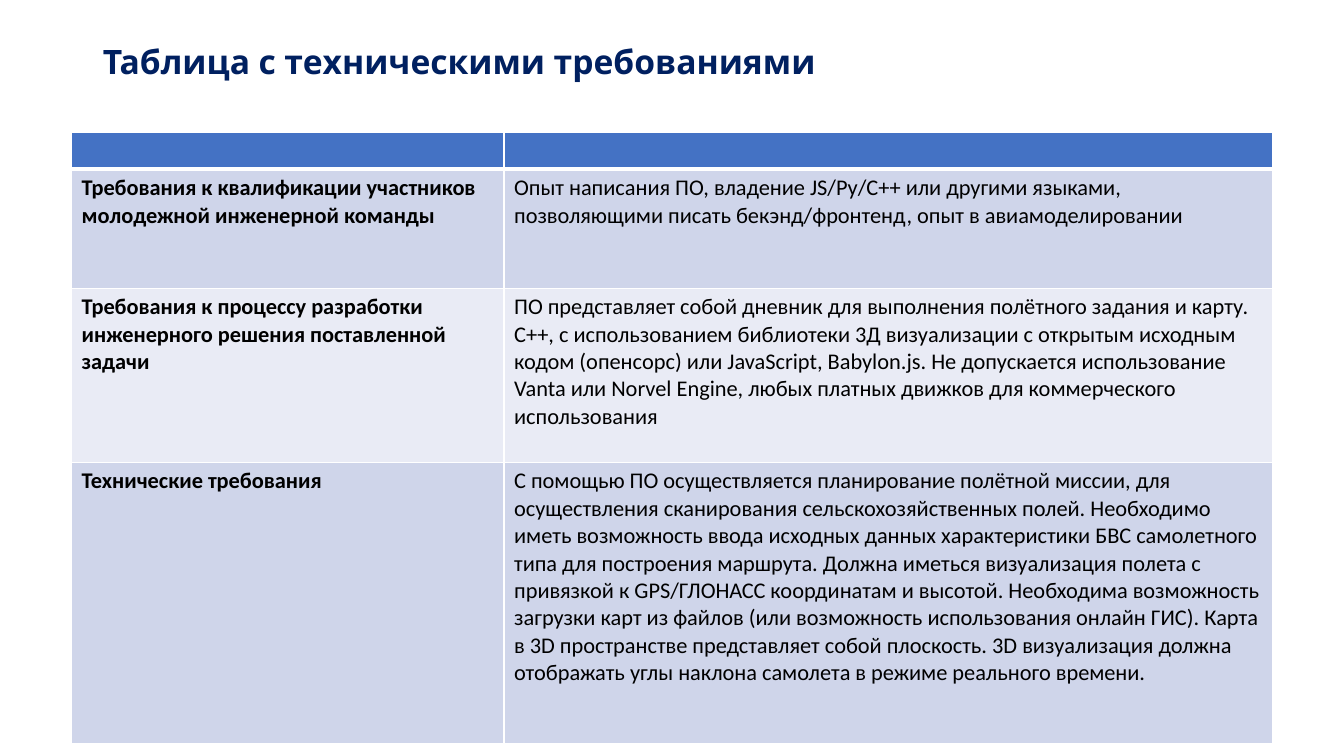
from lxml import etree
from pptx import Presentation
from pptx.dml.color import RGBColor
from pptx.enum import text
from pptx.oxml import ns
from pptx.util import Inches, Pt

TITLE = "Таблица с техническими требованиями"
REQUIREMENTS = [
    ("", ""),
    ("Требования к квалификации участников молодежной инженерной команды",
     "Опыт написания ПО, владение JS/Py/C++ или другими языками, "
     "позволяющими писать бекэнд/фронтенд, опыт в авиамоделировании"),
    ("Требования к процессу разработки инженерного решения поставленной задачи",
     "ПО представляет собой дневник для выполнения полётного задания и карту. "
     "C++, с использованием библиотеки 3Д визуализации с открытым исходным "
     "кодом (опенсорс) или JavaScript, Babylon.js. Не допускается использование "
     "Vanta или Norvel Engine, любых платных движков для коммерческого использования"),
    ("Технические требования",
     "С помощью ПО осуществляется планирование полётной миссии, для "
     "осуществления сканирования сельскохозяйственных полей. Необходимо "
     "иметь возможность ввода исходных данных характеристики БВС самолетного "
     "типа для построения маршрута. Должна иметься визуализация полета с "
     "привязкой к GPS/ГЛОНАСС координатам и высотой. Необходима возможность "
     "загрузки карт из файлов (или возможность использования онлайн ГИС). Карта "
     "в 3D пространстве представляет собой плоскость. 3D визуализация должна "
     "отображать углы наклона самолета в режиме реального времени."),
]
COLUMN_WIDTHS = [4.29, 7.62]
ROW_HEIGHTS = [0.37, 1.18, 1.73, 2.79]
HEADER_FILL = "4472C4"
BAND_FILLS = ["E9EBF5", "CFD5EA"]


def color(value):
    return RGBColor.from_string(value)


def style_runs(para, font_name, size, value, bold):
    for span in para.runs:
        span.font.name = font_name
        span.font.size = Pt(size)
        span.font.bold = bold
        span.font.color.rgb = color(value)


def add_borders(cell, widths):
    properties = cell._tc.get_or_add_tcPr()
    for side, width in widths.items():
        line = etree.SubElement(properties, ns.qn(f"a:ln{side}"), w=str(Pt(width)))
        fill = etree.SubElement(line, ns.qn("a:solidFill"))
        etree.SubElement(fill, ns.qn("a:srgbClr"), val="FFFFFF")


def add_title(page):
    title = page.shapes.title
    title.left, title.top = Inches(0.92), Inches(0.4)
    title.width, title.height = Inches(11.29), Inches(0.47)
    frame = title.text_frame
    frame.text = TITLE
    frame.word_wrap = True
    frame.auto_size = text.MSO_AUTO_SIZE.NONE
    frame.vertical_anchor = text.MSO_ANCHOR.MIDDLE
    para = frame.paragraphs[0]
    para.alignment = text.PP_ALIGN.LEFT
    para.line_spacing = 0.9
    style_runs(para, "Karla", 24, "002060", True)


def add_requirements(page):
    table = page.shapes.add_table(
        len(ROW_HEIGHTS), len(COLUMN_WIDTHS), Inches(0.71), Inches(1.31),
        Inches(sum(COLUMN_WIDTHS)), Inches(sum(ROW_HEIGHTS))).table
    table.horz_banding = False
    for column, width in zip(table.columns, COLUMN_WIDTHS):
        column.width = Inches(width)
    for row_index, (row, height, texts) in enumerate(
            zip(table.rows, ROW_HEIGHTS, REQUIREMENTS)):
        row.height = Inches(height)
        is_header = row_index == 0
        row_fill = HEADER_FILL if is_header else BAND_FILLS[row_index % 2]
        for column_index, (cell, content) in enumerate(zip(row.cells, texts)):
            if is_header:
                cell.margin_top = cell.margin_bottom = 0
            add_borders(cell, {"L": 1, "R": 1,
                               "T": 3 if row_index == 1 else 1,
                               "B": 3 if is_header else 1})
            cell.fill.solid()
            cell.fill.fore_color.rgb = color(row_fill)
            if content:
                cell.text_frame.text = content
                style_runs(cell.text_frame.paragraphs[0], "Calibri", 16,
                           "000000", column_index == 0)


def main():
    deck = Presentation()
    deck.slide_width, deck.slide_height = Inches(13.33), Inches(7.5)
    page = deck.slides.add_slide(deck.slide_layouts.get_by_name("Title Only"))
    page.background.fill.solid()
    page.background.fill.fore_color.rgb = color("FFFFFF")
    add_title(page)
    add_requirements(page)
    deck.save("out.pptx")


if __name__ == "__main__":
    main()
